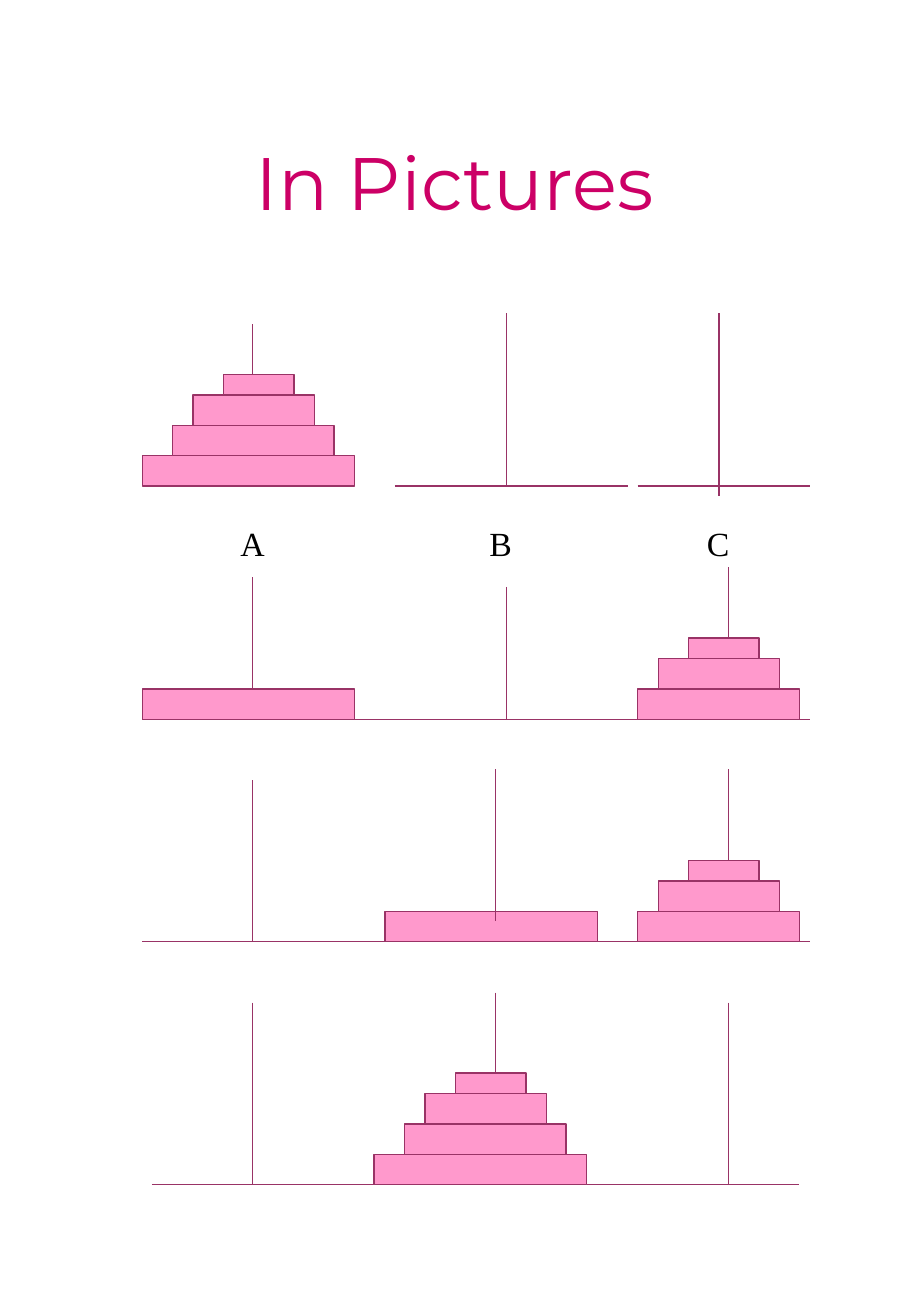
from dataclasses import dataclass
from typing import Any

from lxml.etree import SubElement
from pptx import Presentation
from pptx.dml.color import RGBColor
from pptx.enum.shapes import MSO_CONNECTOR as Link, MSO_SHAPE as Shape
from pptx.enum.text import MSO_ANCHOR as Anchor, MSO_AUTO_SIZE as Fit, PP_ALIGN as Align
from pptx.oxml.ns import qn
from pptx.util import Inches, Pt


@dataclass(frozen=True)
class Theme:
    title: str = "CC0066"
    text: str = "000000"
    disk: str = "FF99CC"
    line: str = "993366"
    head: str = "Montserrat"
    body: str = "Times New Roman"
    big: float = 44
    small: float = 20
    stroke: float = 0.75


@dataclass(frozen=True)
class Disk:
    inset: float  # from the left edge of the largest disk
    width: float
    height: float


@dataclass(frozen=True)
class Stack:
    left: float  # where the largest disk would start
    disks: tuple[Disk, ...]


@dataclass(frozen=True)
class Peg:
    x: float
    top: float
    end: float


@dataclass(frozen=True)
class Stage:
    base: float
    floors: tuple[tuple[float, float], ...]
    stacks: tuple[Stack, ...]
    pegs: tuple[Peg, ...]


@dataclass(frozen=True)
class Label:
    text: str
    left: float
    width: float
    inset: float


THEME = Theme()
DISKS = (Disk(0, 1.75, 0.25), Disk(0.25, 1.33, 0.25),
         Disk(0.42, 1, 0.25), Disk(0.67, 0.58, 0.17))
LARGE, REST = DISKS[:1], DISKS[1:]

STAGES = (
    Stage(4, ((3.25, 5.17), (5.25, 6.67)),
          (Stack(1.17, DISKS),),
          (Peg(2.08, 2.67, 3.08), Peg(4.17, 2.58, 4), Peg(5.92, 2.58, 4.08))),
    Stage(5.92, ((1.17, 6.67),),
          (Stack(1.17, LARGE), Stack(5, REST)),
          (Peg(2.08, 4.75, 5.67), Peg(4.17, 4.83, 5.92), Peg(6, 4.67, 5.25))),
    Stage(7.75, ((1.17, 6.67),),
          (Stack(3.17, LARGE), Stack(5, REST)),
          (Peg(2.08, 6.42, 7.75), Peg(4.08, 6.33, 7.58), Peg(6, 6.33, 7.08))),
    Stage(9.75, ((1.25, 6.58),),
          (Stack(3.08, DISKS),),
          (Peg(2.08, 8.25, 9.75), Peg(4.08, 8.17, 8.83), Peg(6, 8.25, 9.75))),
)
LABELS = (Label("A", 1.67, 0.83, 0.31), Label("B", 3.58, 1.17, 0.45),
          Label("C", 5.58, 0.92, 0.24))


def color(code: str) -> RGBColor:
    return RGBColor.from_string(code)


def write(frame: Any, text: str, *, font: str, size: float, ink: str,
          align: Any = Align.LEFT, anchor: Any = Anchor.TOP,
          inset: float = 0.1, fit: Any = Fit.NONE) -> None:
    frame.word_wrap = True
    frame.auto_size = fit
    frame.vertical_anchor = anchor
    frame.margin_left, frame.margin_right = Inches(inset), Inches(0.1)
    frame.margin_top = frame.margin_bottom = Inches(0.05)
    line = frame.paragraphs[0]
    line.alignment = align
    run = line.add_run()
    run.text = text
    run.font.name, run.font.size = font, Pt(size)
    run.font.color.rgb = color(ink)


def stroke(shape: Any) -> None:
    shape.line.color.rgb = color(THEME.line)
    shape.line.width = Pt(THEME.stroke)


def rule(slide: Any, x1: float, y1: float, x2: float, y2: float) -> None:
    line = slide.shapes.add_connector(
        Link.STRAIGHT, Inches(x1), Inches(y1), Inches(x2), Inches(y2))
    stroke(line)
    SubElement(line.element.spPr, qn("a:effectLst"))


def pile(slide: Any, stack: Stack, base: float) -> None:
    top = base
    for disk in stack.disks:
        top -= disk.height
        box = slide.shapes.add_shape(
            Shape.RECTANGLE, Inches(stack.left + disk.inset), Inches(top),
            Inches(disk.width), Inches(disk.height))
        box.shadow.inherit = False
        box.fill.solid()
        box.fill.fore_color.rgb = color(THEME.disk)
        stroke(box)


def draw(slide: Any, stage: Stage) -> None:
    for start, end in stage.floors:
        rule(slide, start, stage.base, end, stage.base)
    for stack in stage.stacks:
        pile(slide, stack, stage.base)
    for peg in stage.pegs:
        rule(slide, peg.x, peg.top, peg.x, peg.end)


def main() -> None:
    deck = Presentation()
    deck.slide_width, deck.slide_height = Inches(7.5), Inches(10.83)
    slide = deck.slides.add_slide(deck.slide_layouts[5])

    # Title
    title = slide.shapes.title
    title.left, title.top = Inches(0.56), Inches(0.58)
    title.width, title.height = Inches(6.37), Inches(1.81)
    write(title.text_frame, "In Pictures", font=THEME.head, size=THEME.big,
          ink=THEME.title, align=Align.CENTER, anchor=Anchor.MIDDLE)

    # Towers, stage by stage
    for stage in STAGES:
        draw(slide, stage)

    # Peg names
    for label in LABELS:
        box = slide.shapes.add_textbox(
            Inches(label.left), Inches(4.25), Inches(label.width), Inches(0.44))
        write(box.text_frame, label.text, font=THEME.body, size=THEME.small,
              ink=THEME.text, inset=label.inset, fit=Fit.SHAPE_TO_FIT_TEXT)

    deck.save("out.pptx")


if __name__ == "__main__":
    main()
